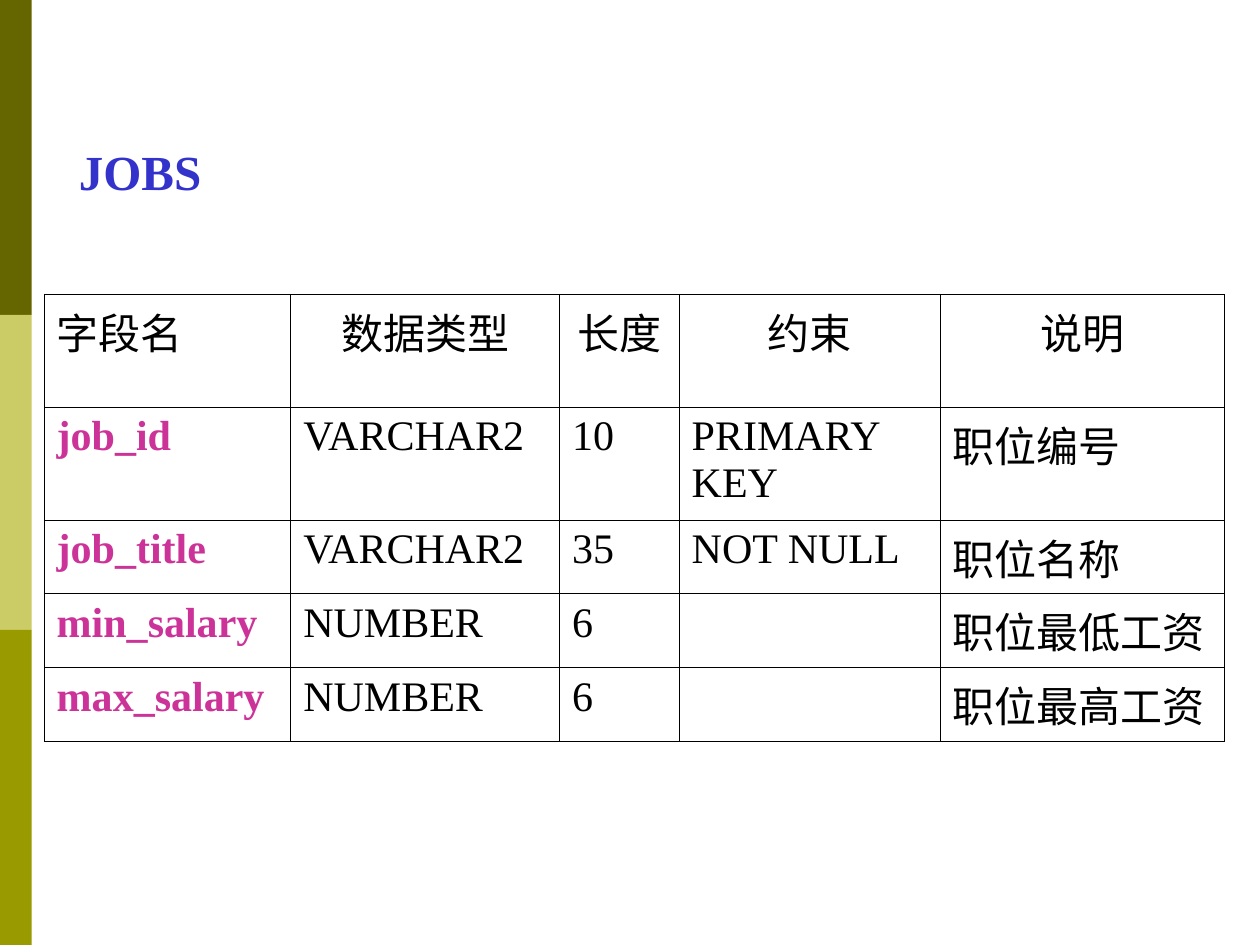
from dataclasses import dataclass

from lxml.etree import SubElement
from pptx import Presentation
from pptx.dml.color import RGBColor as RGB
from pptx.enum.shapes import MSO_SHAPE as SHAPE
from pptx.enum.text import MSO_ANCHOR as ANCHOR, PP_ALIGN as ALIGN
from pptx.oxml.ns import qn
from pptx.util import Cm, Pt


@dataclass(frozen=True)
class Theme:
    font: str = "Times New Roman"
    title: RGB = RGB(0x33, 0x33, 0xCC)
    field: RGB = RGB(0xCC, 0x33, 0x99)
    text: RGB = RGB(0, 0, 0)
    bars: tuple = (RGB(0x66, 0x66, 0), RGB(0xCC, 0xCC, 0x66), RGB(0x99, 0x99, 0))
    title_size: Pt = Pt(28)
    body_size: Pt = Pt(24)
    border: Pt = Pt(0.45)


THEME = Theme()

HEADER = ("字段名", "数据类型", "长度", "约束", "说明")
FIELDS = (
    ("job_id", "VARCHAR2", "10", "PRIMARY KEY", "职位编号"),
    ("job_title", "VARCHAR2", "35", "NOT NULL", "职位名称"),
    ("min_salary", "NUMBER", "6", "", "职位最低工资"),
    ("max_salary", "NUMBER", "6", "", "职位最高工资"),
)
COL_WIDTHS = (4.97, 5.42, 2.41, 5.26, 5.74)
ROW_HEIGHTS = (2.28, 2.28, 1.27, 1.27, 1.27)


def apply(target, formats):
    for name, value in formats.items():
        setattr(target, name, value)


def format_font(font, size, color, bold=False):
    apply(font, {"name": THEME.font, "size": size, "bold": bold})
    font.color.rgb = color


def add_side_bars(slide, left, top, width, height):
    """Equal stacked colour bars filling the box."""
    step = height // len(THEME.bars)
    for i, color in enumerate(THEME.bars):
        sp = slide.shapes.add_shape(SHAPE.RECTANGLE, left, top + i * step, width, step)
        sp.shadow.inherit = False
        sp.fill.solid()
        sp.fill.fore_color.rgb = color
        sp.line.fill.background()


def set_title(slide, text, left, top, width, height):
    title = slide.shapes.title
    apply(title, {"left": left, "top": top, "width": width, "height": height})
    tf = title.text_frame
    apply(tf, {"margin_left": Cm(0.5), "vertical_anchor": ANCHOR.MIDDLE, "word_wrap": True})
    p = tf.paragraphs[0]
    p.alignment = ALIGN.LEFT
    r = p.add_run()
    r.text = text
    format_font(r.font, THEME.title_size, THEME.title, bold=True)


def set_borders(cell):
    """Thin lines on all four sides, placed before the cell fill."""
    tc_pr = cell._tc.get_or_add_tcPr()
    for i, side in enumerate(("lnL", "lnR", "lnT", "lnB")):
        ln = SubElement(tc_pr, qn(f"a:{side}"), w=str(int(THEME.border)))
        fill = SubElement(ln, qn("a:solidFill"))
        SubElement(fill, qn("a:srgbClr"), val=str(THEME.text))
        tc_pr.insert(i, ln)


def add_field_table(slide, left, top):
    rows = (HEADER, *FIELDS)
    widths = [Cm(w) for w in COL_WIDTHS]
    heights = [Cm(h) for h in ROW_HEIGHTS]
    table = slide.shapes.add_table(
        len(rows), len(widths), left, top, sum(widths), sum(heights)).table
    apply(table, {"first_row": False, "horz_banding": False})
    for column, width in zip(table.columns, widths):
        column.width = width
    for row, height in zip(table.rows, heights):
        row.height = height

    for i, row in enumerate(rows):
        for j, text in enumerate(row):
            cell = table.cell(i, j)
            cell.fill.background()
            set_borders(cell)
            p = cell.text_frame.paragraphs[0]
            p.alignment = ALIGN.CENTER if i == 0 and j > 0 else ALIGN.LEFT
            is_field = i > 0 and j == 0
            color = THEME.field if is_field else THEME.text
            format_font(p.font, THEME.body_size, color, bold=is_field)
            if text:
                r = p.add_run()
                r.text = text
                format_font(r.font, THEME.body_size, color, bold=is_field)


def main():
    prs = Presentation()
    apply(prs, {"slide_width": Cm(25.4), "slide_height": Cm(19.05)})
    slide = prs.slides.add_slide(prs.slide_layouts[5])
    add_side_bars(slide, 0, 0, Cm(0.64), prs.slide_height)
    set_title(slide, "JOBS", Cm(1.09), Cm(2.72), Cm(9.4), Cm(1.45))
    add_field_table(slide, Cm(0.89), Cm(5.93))
    prs.save("out.pptx")


if __name__ == "__main__":
    main()
